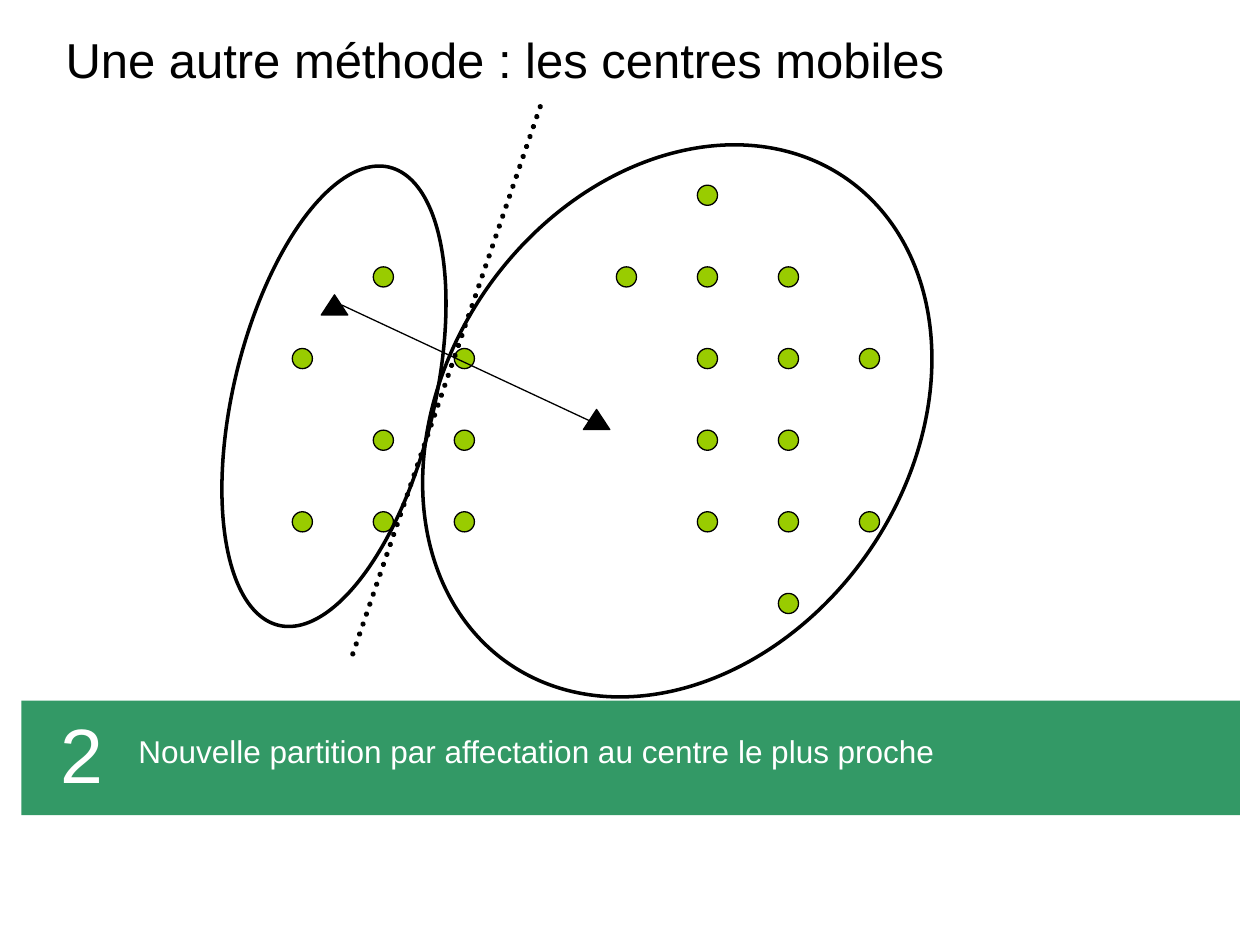
"""Build the slide on moving centres, laid out on a grid of 100 columns by 75 rows."""
import pptx
import pptx.dml.color
import pptx.enum.dml
import pptx.enum.shapes
import pptx.enum.text
import pptx.oxml
import pptx.oxml.ns
import pptx.util

BLACK = pptx.dml.color.RGBColor(0x00, 0x00, 0x00)
WHITE = pptx.dml.color.RGBColor(0xFF, 0xFF, 0xFF)
GREEN = pptx.dml.color.RGBColor(0x33, 0x99, 0x66)
LIME = pptx.dml.color.RGBColor(0x99, 0xCC, 0x00)

SHAPE = pptx.enum.shapes.MSO_SHAPE
ALIGN = pptx.enum.text.PP_ALIGN

POINT_ORIGIN = (23.2, 14.7)
POINT_STEP = (6.43, 6.48)
POINT_SIZE = 1.6
POINT_COLUMNS_BY_ROW = [
    [5],
    [1, 4, 5, 6],
    [0, 2, 5, 6, 7],
    [1, 2, 5, 6],
    [0, 1, 2, 5, 6, 7],
    [6],
]


def grid(*cells):
    """Turn counts of grid cells into lengths."""
    return [pptx.util.Inches(cell / 10) for cell in cells]


def write(box, text, size, color=WHITE, align=ALIGN.LEFT, spacing=1.0):
    """Write one formatted paragraph, centred vertically, into a box."""
    frame = box.text_frame
    frame.word_wrap = True
    frame.auto_size = pptx.enum.text.MSO_AUTO_SIZE.NONE
    frame.vertical_anchor = pptx.enum.text.MSO_ANCHOR.MIDDLE
    paragraph = frame.paragraphs[0]
    paragraph.alignment = align
    paragraph.line_spacing = spacing
    run = paragraph.add_run()
    run.text = text
    run.font.name = "Arial"
    run.font.size = pptx.util.Pt(size)
    run.font.color.rgb = color


def add_title(slide, text):
    """Place and fill the title placeholder."""
    title = slide.shapes.title
    title.left, title.top, title.width, title.height = grid(4.2, 2.4, 91.7, 5.2)
    write(title, text, 28, color=BLACK, spacing=0.9)


def add_label(slide, text, area, size, **style):
    """Add a text box over an area of the grid."""
    write(slide.shapes.add_textbox(*grid(*area)), text, size, **style)


def add_figure(slide, kind, area, fill=None, line_width=None, rotation=0):
    """Add a preset shape with an optional fill and black outline."""
    figure = slide.shapes.add_shape(kind, *grid(*area))
    figure.shadow.inherit = False
    figure.rotation = rotation
    if fill is None:
        figure.fill.background()
    else:
        figure.fill.solid()
        figure.fill.fore_color.rgb = fill
    if line_width is None:
        figure.line.fill.background()
    else:
        figure.line.color.rgb = BLACK
        figure.line.width = pptx.util.Pt(line_width)


def add_line(slide, start, end, width, dotted=False):
    """Add a straight black line, with round dots if asked."""
    line = slide.shapes.add_connector(
        pptx.enum.shapes.MSO_CONNECTOR.STRAIGHT, *grid(*start, *end))
    line.line.color.rgb = BLACK
    line.line.width = pptx.util.Pt(width)
    properties = line.element.spPr
    if dotted:
        line.line.dash_style = pptx.enum.dml.MSO_LINE.ROUND_DOT
        properties.find(pptx.oxml.ns.qn("a:ln")).set("cap", "rnd")
    properties.append(pptx.oxml.parse_xml(
        f'<a:effectLst {pptx.oxml.ns.nsdecls("a")}/>'))


def add_points(slide):
    """Add the data points on their regular lattice."""
    for row, columns in enumerate(POINT_COLUMNS_BY_ROW):
        for column in columns:
            left = POINT_ORIGIN[0] + column * POINT_STEP[0]
            top = POINT_ORIGIN[1] + row * POINT_STEP[1]
            add_figure(slide, SHAPE.OVAL, (left, top, POINT_SIZE, POINT_SIZE),
                       fill=LIME, line_width=0.75)


def add_partition(slide):
    """Add the two clusters, their border, and their linked centres."""
    add_figure(slide, SHAPE.OVAL, (30.3, 15, 46.9, 36.8), line_width=2, rotation=125.1)
    add_figure(slide, SHAPE.OVAL, (7.8, 23.5, 37.4, 15.9), line_width=2, rotation=103.6)
    add_line(slide, (28, 51.9), (42.9, 8.4), 3, dotted=True)
    for left, top in [(25.5, 23.4), (46.3, 32.5)]:
        add_figure(slide, SHAPE.ISOSCELES_TRIANGLE, (left, top, 2.1, 1.6),
                   fill=BLACK, line_width=0.75)
    add_line(slide, (27.1, 24.2), (46.8, 33.4), 0.75)


def main():
    """Assemble and save the presentation."""
    deck = pptx.Presentation()
    deck.slide_width, deck.slide_height = grid(100, 75)
    slide = deck.slides.add_slide(deck.slide_layouts[5])
    add_title(slide, "Une autre méthode : les centres mobiles")
    add_figure(slide, SHAPE.RECTANGLE, (1.7, 55.6, 96.7, 9.1), fill=GREEN)
    add_label(slide, "Nouvelle partition par affectation au centre le plus proche",
              (10, 57.6, 83.3, 4), 18)
    add_points(slide)
    add_label(slide, "2", (1.7, 55.6, 7.5, 8.3), 44, align=ALIGN.RIGHT)
    add_partition(slide)
    deck.save("out.pptx")


if __name__ == "__main__":
    main()
